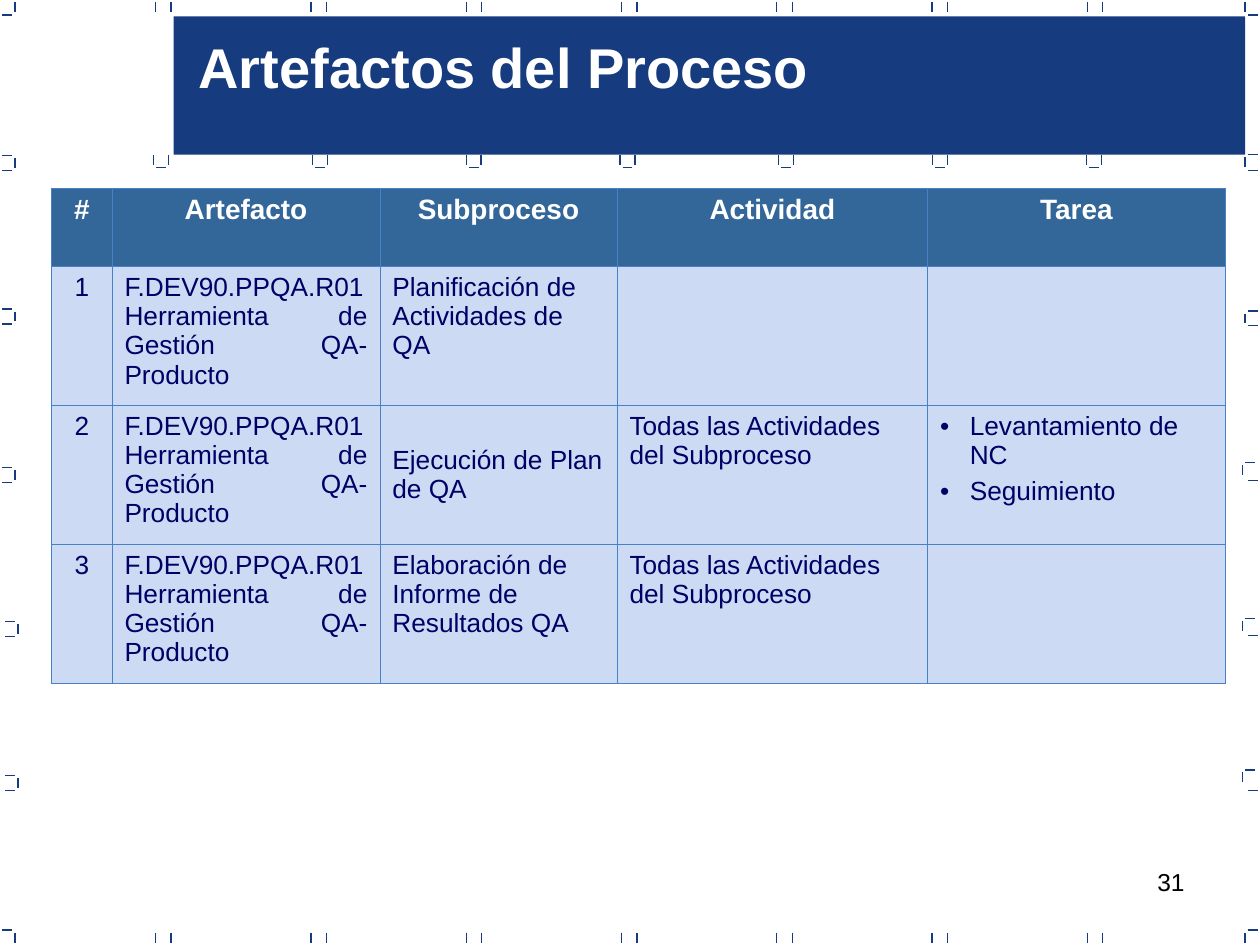
"""Build the slide "Artefactos del Proceso": tick-framed page, title band and artefact table."""
from lxml.etree import SubElement
from pptx import Presentation
from pptx.dml.color import RGBColor
from pptx.enum.shapes import MSO_CONNECTOR, MSO_SHAPE
from pptx.enum.text import MSO_ANCHOR, MSO_AUTO_SIZE, PP_ALIGN
from pptx.oxml import parse_xml
from pptx.oxml.ns import nsdecls, qn
from pptx.util import Cm, Pt

NAVY = RGBColor(0x16, 0x3B, 0x7F)
STEEL = RGBColor(0x33, 0x66, 0x99)
PALE = RGBColor(0xCD, 0xDA, 0xF3)
INK = RGBColor(0x00, 0x00, 0x66)
GRID = RGBColor(0x47, 0x82, 0xC9)
WHITE = RGBColor(0xFF, 0xFF, 0xFF)
BLACK = RGBColor(0x00, 0x00, 0x00)

TITLE_FONT = {"name": "Arial", "size": Pt(32), "bold": True}
NUMBER_FONT = {"name": "Arial", "size": Pt(14), "bold": False}
HEADER_FONT = {"name": "Arial", "size": Pt(16), "bold": True}
BODY_FONT = {"name": "Arial", "size": Pt(15), "bold": False}
INSETS = {"margin_left": Cm(0.25), "margin_right": Cm(0.25),
          "margin_top": Cm(0.13), "margin_bottom": Cm(0.13)}


def apply(target, formats):
    """Set every attribute named in formats on target."""
    for name, value in formats.items():
        setattr(target, name, value)


def write(paragraph, text, font, color, alignment):
    """Put one formatted run in a paragraph."""
    paragraph.alignment = alignment
    run = paragraph.add_run()
    run.text = text
    apply(run.font, font)
    run.font.color.rgb = color


presentation = Presentation()
apply(presentation, {"slide_width": Cm(25.4), "slide_height": Cm(19.05)})
slide = presentation.slides.add_slide(presentation.slide_layouts[5])
shapes = slide.shapes

TICK = 0.2
uprights = []
dashes = []

for edge_y in (0.05, 18.8):
    uprights += [(0.3, edge_y), (25.1, edge_y)]
    for step in range(7):
        pair_x = 3.45 + 3.13 * step
        uprights += [(pair_x - 0.31, edge_y), (pair_x, edge_y)]

for corner_y in (0.3, 18.75):
    dashes += [(0.05, corner_y), (25.15, corner_y)]

for bracket_x, bottom in ((0.3, 3.43), (0.3, 6.53), (0.3, 9.73), (0.36, 12.83), (0.36, 15.93)):
    uprights.append((bracket_x, bottom - 0.25))
    dashes += [(bracket_x - 0.25, bottom), (bracket_x - 0.25, bottom - 0.3)]

for bracket_x, top in ((25.1, 3.12), (25.1, 6.27), (25.05, 9.32), (25.05, 12.47), (25.05, 15.52)):
    uprights.append((bracket_x, top + 0.05))
    dashes.append((bracket_x + 0.05, top))
dashes += [(25.15, 3.43 + 3.125 * step) for step in range(5)]

for bracket_x in (3.4, 6.6, 9.7, 12.8, 16, 19.1, 22.2):
    uprights += [(bracket_x - 0.3, 3.13), (bracket_x, 3.13)]
    dashes.append((bracket_x - 0.25, 3.38))

for starts, run_x, run_y in ((uprights, 0, TICK), (dashes, TICK, 0)):
    for x, y in starts:
        tick = shapes.add_connector(
            MSO_CONNECTOR.STRAIGHT, Cm(x), Cm(y), Cm(x + run_x), Cm(y + run_y))
        tick.line.color.rgb = NAVY
        tick.line.width = Pt(0.75)
        SubElement(tick.element.spPr, qn("a:effectLst"))

band = shapes.add_shape(MSO_SHAPE.RECTANGLE, Cm(3.5), Cm(0.33), Cm(21.6), Cm(2.79))
band.shadow.inherit = False
band.fill.solid()
band.fill.fore_color.rgb = NAVY
band.line.fill.background()

heading = shapes.title
heading.element.getparent().append(heading.element)
apply(heading, {"left": Cm(3.75), "top": Cm(0.53), "width": Cm(13.5), "height": Cm(1.62)})
apply(heading.text_frame, INSETS | {
    "word_wrap": True, "auto_size": MSO_AUTO_SIZE.NONE, "vertical_anchor": MSO_ANCHOR.TOP})
write(heading.text_frame.paragraphs[0], "Artefactos del Proceso", TITLE_FONT, WHITE, PP_ALIGN.LEFT)

page_number = shapes.add_textbox(Cm(18.2), Cm(17.35), Cm(5.93), Cm(1.32)).text_frame
apply(page_number, INSETS | {"word_wrap": True})
write(page_number.paragraphs[0], "31", NUMBER_FONT, BLACK, PP_ALIGN.RIGHT)

TOOL = "F.DEV90.PPQA.R01 Herramienta de Gestión QA-Producto"
ALL_ACTIVITIES = "Todas las Actividades del Subproceso"
ROWS = [
    ["#", "Artefacto", "Subproceso", "Actividad", "Tarea"],
    ["1", TOOL, "Planificación de Actividades de QA", "", ""],
    ["2", TOOL, "Ejecución de Plan de QA", ALL_ACTIVITIES, "Levantamiento de NC\nSeguimiento"],
    ["3", TOOL, "Elaboración de Informe de Resultados QA", ALL_ACTIVITIES, ""],
]
COLUMN_WIDTHS = (1.22, 5.4, 4.78, 6.26, 6)
ROW_HEIGHTS = (1.58, 2.8, 2.8, 2.8)
ALIGNMENTS = (PP_ALIGN.CENTER, PP_ALIGN.JUSTIFY, PP_ALIGN.LEFT, PP_ALIGN.LEFT, PP_ALIGN.LEFT)
TASK_COLUMN = 4

artefacts = shapes.add_table(
    len(ROWS), len(COLUMN_WIDTHS), Cm(1.04), Cm(3.79),
    Cm(sum(COLUMN_WIDTHS)), Cm(sum(ROW_HEIGHTS))).table
apply(artefacts, {"first_row": False, "horz_banding": False})
for column, width in zip(artefacts.columns, COLUMN_WIDTHS):
    column.width = Cm(width)

for row_index, (row, height, texts) in enumerate(zip(artefacts.rows, ROW_HEIGHTS, ROWS)):
    row.height = Cm(height)
    is_header = row_index == 0
    for column_index, (cell, text) in enumerate(zip(row.cells, texts)):
        apply(cell, INSETS)
        properties = cell._tc.get_or_add_tcPr()
        for side in ("lnL", "lnR", "lnT", "lnB"):
            properties.append(parse_xml(
                f'<a:{side} {nsdecls("a")} w="{Pt(0.45)}"><a:solidFill>'
                f'<a:srgbClr val="{GRID}"/></a:solidFill></a:{side}>'))
        cell.fill.solid()
        cell.fill.fore_color.rgb = STEEL if is_header else PALE
        for line_index, line in enumerate(text.split("\n") if text else []):
            paragraph = cell.text_frame.paragraphs[0]
            if line_index:
                paragraph = cell.text_frame.add_paragraph()
                paragraph.space_before = Pt(3.7)
            if column_index == TASK_COLUMN and not is_header:
                bullet = paragraph._p.get_or_add_pPr()
                bullet.set("marL", str(Cm(0.6)))
                bullet.set("indent", str(-Cm(0.6)))
                SubElement(bullet, qn("a:buFont"), typeface="Arial")
                SubElement(bullet, qn("a:buChar"), char="•")
            if is_header:
                write(paragraph, line, HEADER_FONT, WHITE, PP_ALIGN.CENTER)
            else:
                write(paragraph, line, BODY_FONT, INK, ALIGNMENTS[column_index])

artefacts.cell(2, 2).vertical_anchor = MSO_ANCHOR.MIDDLE

presentation.save("out.pptx")
